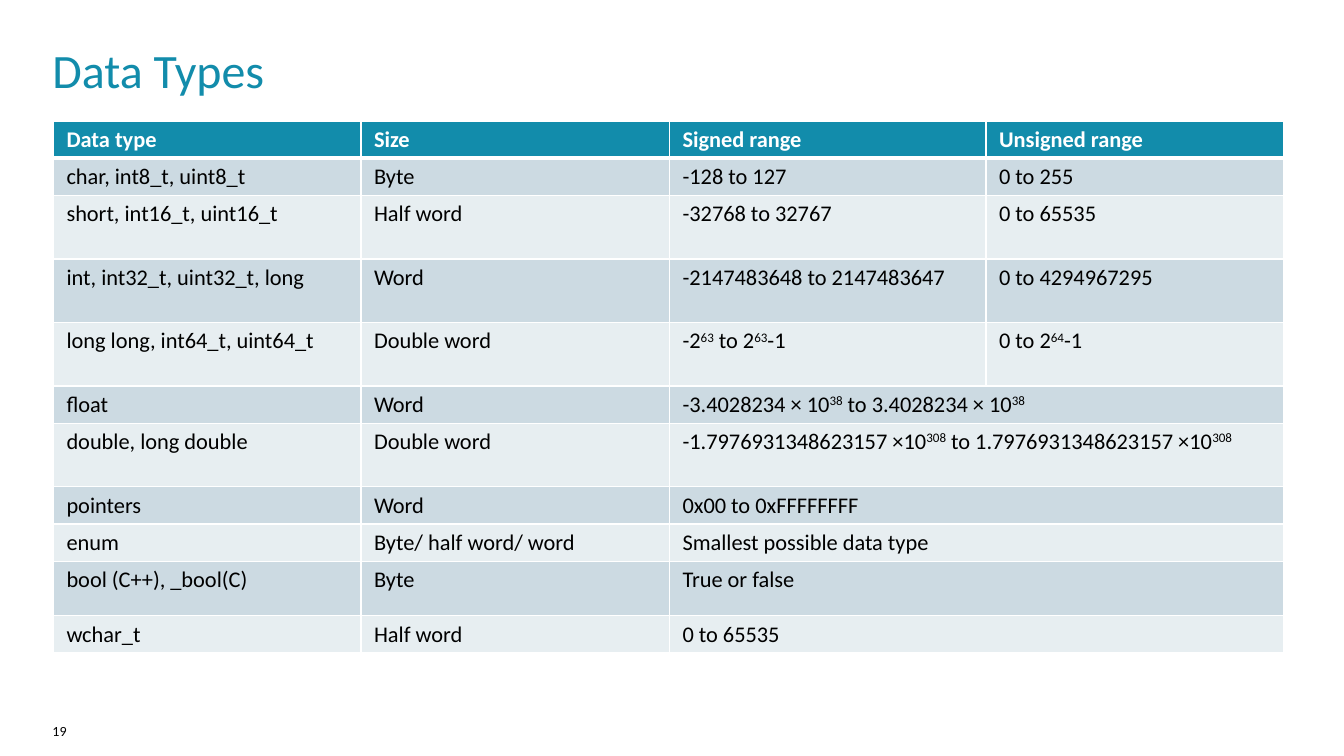
"""Build the Data Types slide: a table of C types with their sizes and ranges."""
import pptx
import pptx.dml.color
import pptx.enum.text
import pptx.oxml
import pptx.oxml.ns
import pptx.util
from dataclasses import dataclass

Inches = pptx.util.Inches
Pt = pptx.util.Pt

TITLE = "Data Types"
PAGE_NUMBER = "19"
HEADINGS = ("Data type", "Size", "Signed range", "Unsigned range")
SUPERSCRIPT_MARK = "^"
DATA_TYPES = [
    ("char, int8_t, uint8_t", "Byte", "-128 to 127", "0 to 255"),
    ("short, int16_t, uint16_t", "Half word", "-32768 to 32767", "0 to 65535"),
    ("int, int32_t, uint32_t, long", "Word", "-2147483648 to 2147483647", "0 to 4294967295"),
    ("long long, int64_t, uint64_t", "Double word", "-2^63^ to 2^63^-1", "0 to 2^64^-1"),
    ("float", "Word", "-3.4028234 × 10^38^ to 3.4028234 × 10^38"),
    ("double, long double", "Double word",
     "-1.7976931348623157 ×10^308^ to 1.7976931348623157 ×10^308"),
    ("pointers", "Word", "0x00 to 0xFFFFFFFF"),
    ("enum", "Byte/ half word/ word", "Smallest possible data type"),
    ("bool (C++), _bool(C)", "Byte", "True or false"),
    ("wchar_t", "Half word", "0 to 65535"),
]
COLUMN_WIDTHS = (3.05, 3.06, 3.14, 2.95)
ROW_HEIGHTS = (0.37, 0.37, 0.63, 0.63, 0.63, 0.37, 0.63, 0.37, 0.37, 0.54, 0.37)


@dataclass(frozen=True)
class Theme:
    font: str = "Calibri"
    accent: str = "128CAB"
    text: str = "000000"
    white: str = "FFFFFF"
    bands: tuple = ("CCDAE2", "E7EEF1")
    title_size: float = 34.2
    table_size: float = 16
    number_size: float = 10
    thin: float = 1
    thick: float = 3


THEME = Theme()


def rgb(color):
    return pptx.dml.color.RGBColor.from_string(color)


def write(paragraph, marked_text, size, color, bold=False):
    for index, part in enumerate(marked_text.split(SUPERSCRIPT_MARK)):
        if not part:
            continue
        run = paragraph.add_run()
        run.text = part
        run.font.name = THEME.font
        run.font.size = Pt(size)
        run.font.bold = bold
        run.font.color.rgb = rgb(color)
        if index % 2:
            run.font._element.set("baseline", "30000")


def add_label(slide, box, text, size, color, anchor):
    frame = slide.shapes.add_textbox(*map(Inches, box)).text_frame
    frame.word_wrap = True
    frame.margin_left = frame.margin_right = frame.margin_top = frame.margin_bottom = 0
    frame.vertical_anchor = anchor
    write(frame.paragraphs[0], text, size, color)


def set_borders(cell, top, bottom):
    properties = cell._tc.get_or_add_tcPr()
    for side, width in (("L", THEME.thin), ("R", THEME.thin), ("T", top), ("B", bottom)):
        properties.append(pptx.oxml.parse_xml(
            f'<a:ln{side} {pptx.oxml.ns.nsdecls("a")} w="{Pt(width)}"><a:solidFill>'
            f'<a:srgbClr val="{THEME.white}"/></a:solidFill></a:ln{side}>'))


def style_cell(cell, fill, top, bottom):
    set_borders(cell, top, bottom)
    cell.fill.solid()
    cell.fill.fore_color.rgb = rgb(fill)
    cell.margin_left = cell.margin_right = Inches(0.13)
    cell.margin_top = cell.margin_bottom = Inches(0.05)


def add_type_table(slide):
    rows = [HEADINGS, *DATA_TYPES]
    table = slide.shapes.add_table(
        len(rows), len(HEADINGS), Inches(0.53), Inches(1.2),
        Inches(sum(COLUMN_WIDTHS)), Inches(sum(ROW_HEIGHTS))).table
    table.horz_banding = False
    for column, width in zip(table.columns, COLUMN_WIDTHS):
        column.width = Inches(width)
    for row_index, (entries, height) in enumerate(zip(rows, ROW_HEIGHTS)):
        table.rows[row_index].height = Inches(height)
        heading = row_index == 0
        fill = THEME.accent if heading else THEME.bands[(row_index - 1) % 2]
        top = THEME.thick if row_index == 1 else THEME.thin
        bottom = THEME.thick if heading else THEME.thin
        for column_index in range(len(HEADINGS)):
            style_cell(table.cell(row_index, column_index), fill, top, bottom)
        if len(entries) < len(HEADINGS):
            table.cell(row_index, len(entries) - 1).merge(
                table.cell(row_index, len(HEADINGS) - 1))
        for column_index, entry in enumerate(entries):
            write(table.cell(row_index, column_index).text_frame.paragraphs[0], entry,
                  THEME.table_size, THEME.white if heading else THEME.text, heading)


def main():
    deck = pptx.Presentation()
    deck.slide_width, deck.slide_height = Inches(13.33), Inches(7.5)
    slide = deck.slides.add_slide(deck.slide_layouts[6])
    anchors = pptx.enum.text.MSO_ANCHOR
    add_label(slide, (0.52, 0.37, 12.2, 0.63), TITLE,
              THEME.title_size, THEME.accent, anchors.MIDDLE)
    add_type_table(slide)
    add_label(slide, (0.52, 7.17, 1.42, 0.26), PAGE_NUMBER,
              THEME.number_size, THEME.text, anchors.TOP)
    deck.save("out.pptx")


if __name__ == "__main__":
    main()
